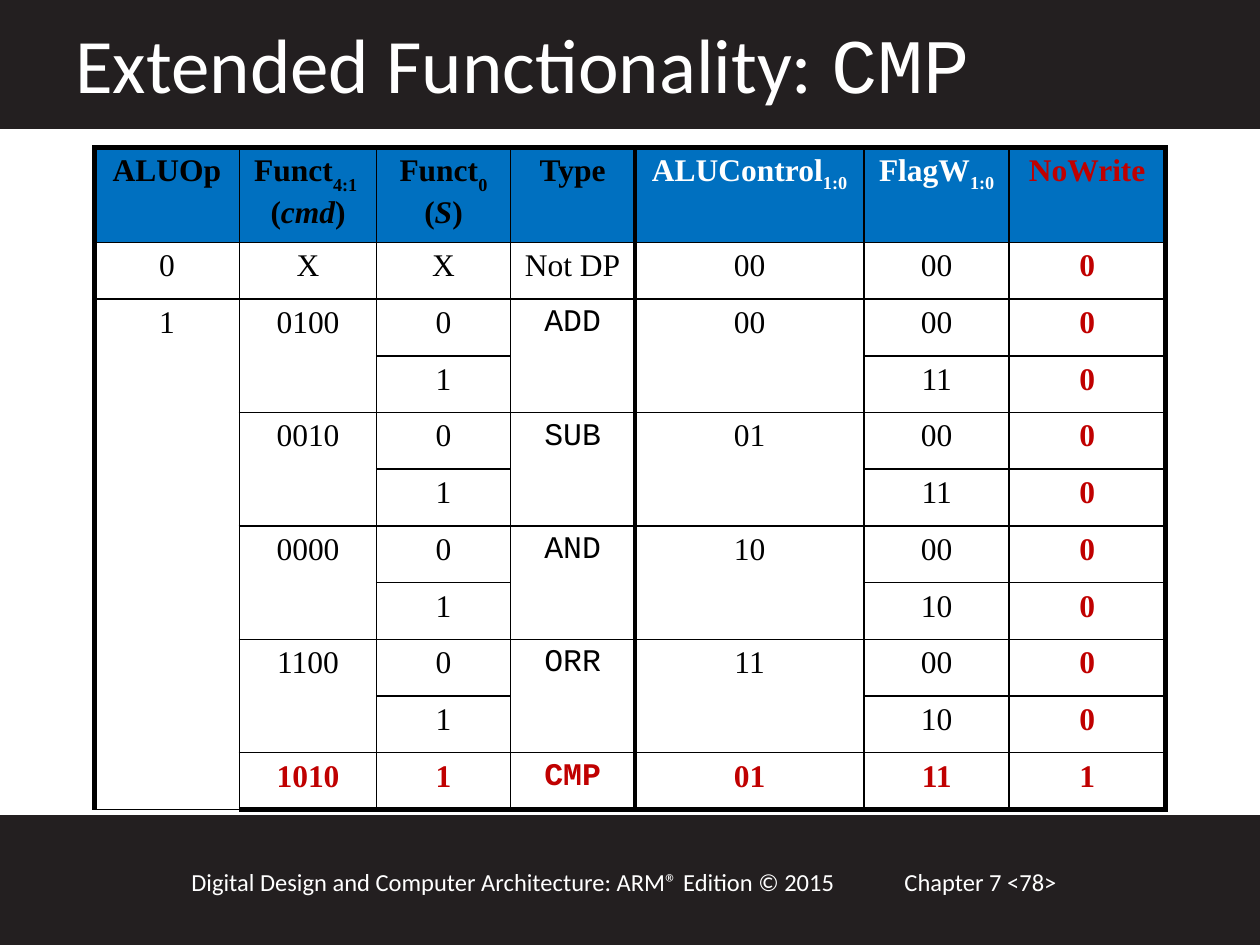
"""Build the slide that extends the ALU decoder table with the CMP instruction."""
import dataclasses
import typing

import pptx
import pptx.dml.color
import pptx.enum.shapes
import pptx.enum.text
import pptx.oxml
import pptx.oxml.ns
import pptx.util

PX = 9144
BLACK = pptx.dml.color.RGBColor(0x00, 0x00, 0x00)
WHITE = pptx.dml.color.RGBColor(0xFF, 0xFF, 0xFF)
CHARCOAL = pptx.dml.color.RGBColor(0x23, 0x1F, 0x20)
BLUE = pptx.dml.color.RGBColor(0x00, 0x70, 0xC0)
RED = pptx.dml.color.RGBColor(0xC0, 0x00, 0x00)
SANS, SERIF, MONO = "Calibri", "Times New Roman", "Courier New"


@dataclasses.dataclass(frozen=True)
class Area:
    left: int
    top: int
    width: int
    height: int

    def emu(self) -> list[int]:
        return [px(value) for value in dataclasses.astuple(self)]


@dataclasses.dataclass(frozen=True)
class Piece:
    text: str
    name: typing.Optional[str] = None
    italic: bool = False
    baseline: int = 0


@dataclasses.dataclass(frozen=True)
class Label:
    area: Area
    size: int
    pieces: list[Piece]


@dataclasses.dataclass(frozen=True)
class Heading:
    width: int
    color: pptx.dml.color.RGBColor
    lines: list[list[Piece]]


BANDS = [Area(0, 648, 1000, 101), Area(0, 0, 1000, 101)]
LABELS = [
    Label(Area(708, 683, 217, 34), 14, [Piece("Chapter 7 <78>")]),
    Label(Area(142, 683, 575, 34), 14,
          [Piece("Digital Design and Computer Architecture: ARM® Edition © 2015")]),
    Label(Area(50, 8, 867, 84), 44,
          [Piece("Extended Functionality: "), Piece("CMP", MONO)]),
]
HEADINGS = [
    Heading(115, BLACK, [[Piece("ALUOp")]]),
    Heading(109, BLACK, [[Piece("Funct"), Piece("4:1 ", baseline=-30)],
                         [Piece("("), Piece("cmd", italic=True), Piece(")")]]),
    Heading(106, BLACK, [[Piece("Funct"), Piece("0", baseline=-30)],
                         [Piece("("), Piece("S", italic=True), Piece(")")]]),
    Heading(99, BLACK, [[Piece("Type")]]),
    Heading(182, WHITE, [[Piece("ALUControl"), Piece("1:0", baseline=-25)]]),
    Heading(115, WHITE, [[Piece("FlagW"), Piece("1:0", baseline=-25)]]),
    Heading(124, RED, [[Piece("NoWrite")]]),
]
ROWS = [
    ["0", "X", "X", "Not DP", "00", "00", "0"],
    ["1", "0100", "0", "ADD", "00", "00", "0"],
    ["", "", "1", "", "", "11", "0"],
    ["", "0010", "0", "SUB", "01", "00", "0"],
    ["", "", "1", "", "", "11", "0"],
    ["", "0000", "0", "AND", "10", "00", "0"],
    ["", "", "1", "", "", "10", "0"],
    ["", "1100", "0", "ORR", "11", "00", "0"],
    ["", "", "1", "", "", "10", "0"],
    ["", "1010", "1", "CMP", "01", "11", "1"],
]
TABLE_LEFT, TABLE_TOP = 75, 117
HEADER_HEIGHT, ROW_HEIGHT = 75, 45
LAST_ROW, LAST_COLUMN = len(ROWS), len(HEADINGS) - 1
TYPE_COLUMN = 3
PAIRED_COLUMNS = (1, 3, 4)
PAIR_STARTS = range(2, LAST_ROW, 2)


def px(value: int) -> pptx.util.Emu:
    return pptx.util.Emu(value * PX)


def write_pieces(para, pieces: list[Piece], style: dict) -> None:
    for piece in pieces:
        span = para.add_run()
        span.text = piece.text
        values = dict(style, italic=piece.italic)
        color = values.pop("color")
        if piece.name:
            values["name"] = piece.name
        for key, value in values.items():
            setattr(span.font, key, value)
        span.font.color.rgb = color
        if piece.baseline:
            span._r.get_or_add_rPr().set("baseline", str(piece.baseline * 1000))


def draw_band(page, area: Area) -> None:
    band = page.shapes.add_shape(pptx.enum.shapes.MSO_SHAPE.RECTANGLE, *area.emu())
    band.shadow.inherit = False
    band.fill.solid()
    band.fill.fore_color.rgb = CHARCOAL
    band.line.color.rgb = CHARCOAL
    band.line.width = pptx.util.Pt(2)


def draw_label(page, label: Label) -> None:
    frame = page.shapes.add_textbox(*label.area.emu()).text_frame
    frame.word_wrap = True
    frame.auto_size = pptx.enum.text.MSO_AUTO_SIZE.SHAPE_TO_FIT_TEXT
    style = {"name": SANS, "size": pptx.util.Pt(label.size), "color": WHITE}
    write_pieces(frame.paragraphs[0], label.pieces, style)


def draw_borders(cell, row: int, column: int) -> None:
    thick = {
        "L": column in (0, TYPE_COLUMN + 1),
        "R": column in (TYPE_COLUMN, LAST_COLUMN),
        "T": row == 0,
        "B": row == LAST_ROW,
    }
    for side, is_thick in thick.items():
        width = pptx.util.Pt(3 if is_thick else 1)
        cell._tc.get_or_add_tcPr().append(pptx.oxml.parse_xml(
            f'<a:ln{side} {pptx.oxml.ns.nsdecls("a")} w="{width}"><a:solidFill>'
            f'<a:srgbClr val="{BLACK}"/></a:solidFill></a:ln{side}>'))


def write_cell(cell, lines: list[list[Piece]], style: dict) -> None:
    frame = cell.text_frame
    for index, pieces in enumerate(lines):
        para = frame.add_paragraph() if index else frame.paragraphs[0]
        para.alignment = pptx.enum.text.PP_ALIGN.CENTER
        properties = para._p.get_or_add_pPr()
        properties.set("marL", str(px(38)))
        properties.set("indent", str(px(-38)))
        write_pieces(para, pieces, style)


def draw_table(page) -> None:
    area = Area(TABLE_LEFT, TABLE_TOP, sum(heading.width for heading in HEADINGS),
                HEADER_HEIGHT + ROW_HEIGHT * LAST_ROW)
    table = page.shapes.add_table(LAST_ROW + 1, len(HEADINGS), *area.emu()).table
    table.first_row = table.horz_banding = False
    for column, heading in zip(table.columns, HEADINGS):
        column.width = px(heading.width)
    for index, row in enumerate(table.rows):
        row.height = px(ROW_HEIGHT if index else HEADER_HEIGHT)
    base = {"name": SERIF, "size": pptx.util.Pt(18)}
    for column, heading in enumerate(HEADINGS):
        cell = table.cell(0, column)
        draw_borders(cell, 0, column)
        cell.fill.solid()
        cell.fill.fore_color.rgb = BLUE
        write_cell(cell, heading.lines, dict(base, color=heading.color, bold=True))
    for row, values in enumerate(ROWS, start=1):
        for column, text in enumerate(values):
            cell = table.cell(row, column)
            draw_borders(cell, row, column)
            cell.fill.background()
            if text:
                red = column == LAST_COLUMN or row == LAST_ROW
                name = MONO if column == TYPE_COLUMN and row > 1 else SERIF
                style = dict(base, color=RED if red else BLACK, bold=red)
                write_cell(cell, [[Piece(text, name)]], style)
    table.cell(2, 0).merge(table.cell(LAST_ROW, 0))
    for row in PAIR_STARTS:
        for column in PAIRED_COLUMNS:
            if row + 1 < LAST_ROW:
                table.cell(row, column).merge(table.cell(row + 1, column))


def main() -> None:
    deck = pptx.Presentation()
    deck.slide_width, deck.slide_height = px(1000), px(750)
    page = deck.slides.add_slide(deck.slide_layouts[6])
    for area in BANDS:
        draw_band(page, area)
    for label in LABELS:
        draw_label(page, label)
    draw_table(page)
    deck.save("out.pptx")


if __name__ == "__main__":
    main()
